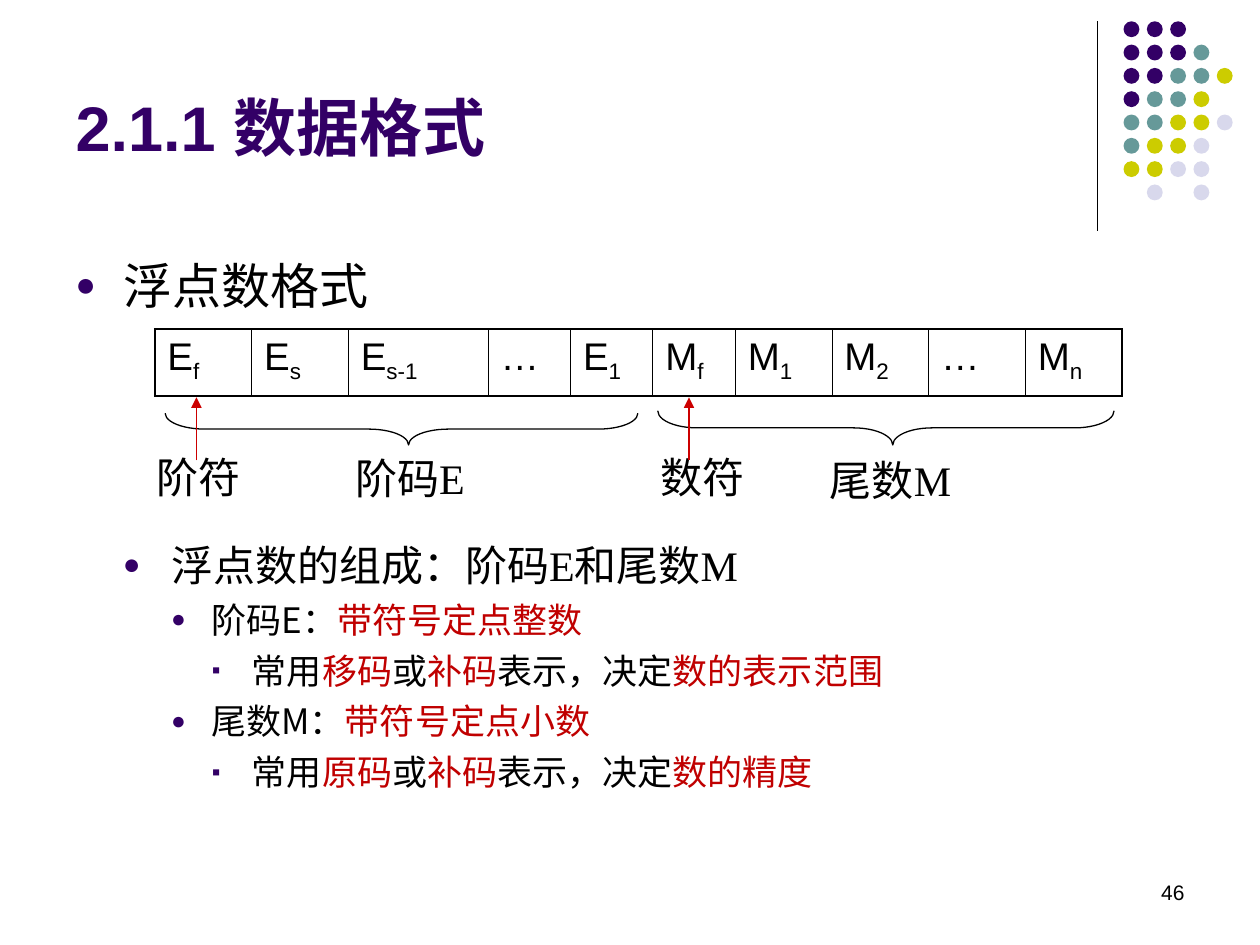
import pptx
import pptx.dml.color
import pptx.enum.shapes
import pptx.enum.text
import pptx.oxml.ns
import pptx.util
from lxml import etree
from pptx.util import Cm

PURPLE, TEAL, OLIVE, LAVENDER = "330066", "669999", "CCCC00", "D8D8EC"
BLACK, RED, ARROW_RED = "000000", "C00000", "CC0000"
SANS, CJK, SERIF = "Arial", "Noto Sans CJK SC", "Times New Roman"
ALIGN = pptx.enum.text.PP_ALIGN
ANCHOR = pptx.enum.text.MSO_ANCHOR
SHAPE = pptx.enum.shapes.MSO_SHAPE


def rgb(hex_color):
    return pptx.dml.color.RGBColor.from_string(hex_color)


def add_xml(parent, tag, **attributes):
    child = etree.SubElement(parent, pptx.oxml.ns.qn(tag))
    for key, value in attributes.items():
        child.set(key, str(value))
    return child


def write(paragraph, text, size=24, color=BLACK, font=CJK, bold=False, baseline=0):
    run = paragraph.add_run()
    run.text = text
    run.font.size = pptx.util.Pt(size)
    run.font.bold = bold
    run.font.name = font
    run.font.color.rgb = rgb(color)
    properties = run.font._element
    add_xml(properties, "a:ea", typeface=CJK)
    if baseline:
        properties.set("baseline", str(baseline * 1000))


class FormatSlide:
    def __init__(self, deck):
        self.slide = deck.slides.add_slide(deck.slide_layouts[5])
        self.shapes = self.slide.shapes
        self.line_width = pptx.util.Pt(0.75)
        self.bullet_color = PURPLE

    def title(self, text, left, top, width, height):
        heading = self.shapes.title
        heading.left, heading.top = Cm(left), Cm(top)
        heading.width, heading.height = Cm(width), Cm(height)
        heading.text_frame.vertical_anchor = ANCHOR.MIDDLE
        paragraph = heading.text_frame.paragraphs[0]
        paragraph.alignment = ALIGN.LEFT
        write(paragraph, text, size=36, color=PURPLE, font=SANS, bold=True)

    def text_frame(self, left, top, width, height, anchor=ANCHOR.TOP):
        frame = self.shapes.add_textbox(Cm(left), Cm(top), Cm(width), Cm(height)).text_frame
        frame.word_wrap = True
        frame.vertical_anchor = anchor
        return frame

    def label(self, runs, left, top, width):
        paragraph = self.text_frame(left, top, width, 1.27).paragraphs[0]
        for text, font in runs:
            write(paragraph, text, font=font)

    def page_number(self, text, left, top, width, height):
        paragraph = self.text_frame(left, top, width, height, ANCHOR.MIDDLE).paragraphs[0]
        paragraph.alignment = ALIGN.RIGHT
        write(paragraph, text, size=12, font=SANS)

    def bullet(self, paragraph, level, before, runs):
        indent, hanging, mark, size, spacing = [
            (0.97, 0.97, "●", 28, 1.2),
            (1.93, 0.97, "●", 24, 1.2),
            (2.74, 0.81, "●", 20, 1.0),
            (3.56, 0.81, "▪", 20, 1.0),
        ][level]
        paragraph.level = level
        paragraph.line_spacing = spacing
        paragraph.space_before = pptx.util.Pt(before)
        properties = paragraph._p.get_or_add_pPr()
        properties.set("marL", str(Cm(indent)))
        properties.set("indent", str(-Cm(hanging)))
        add_xml(add_xml(properties, "a:buClr"), "a:srgbClr", val=self.bullet_color)
        add_xml(properties, "a:buSzPct", val=70000)
        add_xml(properties, "a:buFont", typeface=SANS)
        add_xml(properties, "a:buChar", char=mark)
        for text, run_format in runs:
            write(paragraph, text, size=size, **run_format)

    def outline(self, items, left, top, width, height):
        frame = self.text_frame(left, top, width, height)
        for index, item in enumerate(items):
            paragraph = frame.add_paragraph() if index else frame.paragraphs[0]
            self.bullet(paragraph, *item)

    def dot(self, left, top, size, color):
        dot = self.shapes.add_shape(SHAPE.OVAL, Cm(left), Cm(top), Cm(size), Cm(size))
        dot.shadow.inherit = False
        dot.fill.solid()
        dot.fill.fore_color.rgb = rgb(color)
        dot.line.fill.background()

    def line(self, start, end, color=BLACK, arrow=False):
        line = self.shapes.add_connector(
            pptx.enum.shapes.MSO_CONNECTOR.STRAIGHT, *map(Cm, (*start, *end)))
        line.line.color.rgb = rgb(color)
        line.line.width = self.line_width
        if arrow:
            add_xml(line.line._get_or_add_ln(), "a:tailEnd", type="triangle")
        add_xml(line._element.spPr, "a:effectLst")

    def brace_below(self, left, top, length, depth, curve):
        brace = self.shapes.add_shape(
            SHAPE.LEFT_BRACE, Cm(left + (length - depth) / 2),
            Cm(top + (depth - length) / 2), Cm(depth), Cm(length))
        brace.rotation = 270
        brace.adjustments[0], brace.adjustments[1] = curve, 0.515
        brace.shadow.inherit = False
        brace.fill.background()
        brace.line.color.rgb = rgb(BLACK)
        brace.line.width = self.line_width

    def border(self, cell, position, side, width):
        properties = cell._tc.get_or_add_tcPr()
        edge = add_xml(properties, "a:ln" + side, w=pptx.util.Pt(width))
        add_xml(add_xml(edge, "a:solidFill"), "a:srgbClr", val=BLACK)
        properties.insert(position, edge)

    def field_table(self, fields, widths, left, top, height):
        table = self.shapes.add_table(
            1, len(fields), Cm(left), Cm(top), Cm(sum(widths)), Cm(height)).table
        table.first_row = table.horz_banding = False
        table.rows[0].height = Cm(height)
        last = len(fields) - 1
        for index, ((symbol, subscript), width) in enumerate(zip(fields, widths)):
            table.columns[index].width = Cm(width)
            cell = table.cell(0, index)
            cell.fill.background()
            edges = {"L": 0.45 if index else 1.08, "R": 0.45 if index < last else 1.08,
                     "T": 1.08, "B": 1.08}
            for position, (side, weight) in enumerate(edges.items()):
                self.border(cell, position, side, weight)
            paragraph = cell.text_frame.paragraphs[0]
            write(paragraph, symbol, size=22, font=SANS)
            if subscript:
                write(paragraph, subscript, size=22, font=SANS, baseline=-25)


def main():
    deck = pptx.Presentation()
    deck.slide_width, deck.slide_height = Cm(25.4), Cm(19.05)
    page = FormatSlide(deck)

    page.line((22.12, 0.43), (22.12, 4.65))
    dot_colors = {"P": PURPLE, "T": TEAL, "Y": OLIVE, "L": LAVENDER}
    dot_rows = ["PPP", "PPPT", "PPTTY", "PTTY", "TTYYL", "TYYL", "YYLL", ".L.L"]
    for row, codes in enumerate(dot_rows):
        for column, code in enumerate(codes):
            if code in dot_colors:
                page.dot(22.65 + 0.47 * column, 0.43 + 0.47 * row, 0.32, dot_colors[code])

    page.title("2.1.1 数据格式", 1.27, 0.74, 20.78, 3.6)

    plain, red, serif = {}, {"color": RED}, {"font": SERIF}

    def usage(code, meaning):
        return [("常用", plain), (code, red), ("或", plain), ("补码", red),
                ("表示，决定", plain), (meaning, red)]

    page.outline([
        (0, 0, [("浮点数格式", plain)]),
        (1, 123, [("浮点数的组成：阶码", plain), ("E", serif), ("和尾数", plain), ("M", serif)]),
        (2, 5, [("阶码E：", plain), ("带符号定点整数", red)]),
        (3, 5, usage("移码", "数的表示范围")),
        (2, 5, [("尾数M：", plain), ("带符号定点小数", red)]),
        (3, 5, usage("原码", "数的精度")),
    ], 1.27, 4.78, 22.86, 12.24)
    page.page_number("46", 18.21, 17.35, 5.92, 1.27)

    fields = [("E", "f"), ("E", "s"), ("E", "s-1"), ("…", ""), ("E", "1"),
              ("M", "f"), ("M", "1"), ("M", "2"), ("…", ""), ("M", "n")]
    widths = [1.95] * 2 + [2.82] + [1.66] * 3 + [1.95] * 4
    page.field_table(fields, widths, 3.12, 6.63, 1.35)

    page.brace_below(3.33, 8.33, 9.53, 0.64, 1.25)
    page.brace_below(13.26, 8.28, 9.2, 0.69, 1.15)
    page.label([("阶码", CJK), ("E", SERIF)], 6.91, 8.99, 3.61)
    page.label([("尾数", CJK), ("M", SERIF)], 16.48, 9.04, 4.19)
    for sign, label_left, arrow_x in [("阶符", 2.9, 3.96), ("数符", 13.06, 13.89)]:
        page.label([(sign, CJK)], label_left, 8.97, 3.61)
        page.line((arrow_x, 9.28), (arrow_x, 8.01), ARROW_RED, arrow=True)

    deck.save("out.pptx")


if __name__ == "__main__":
    main()
